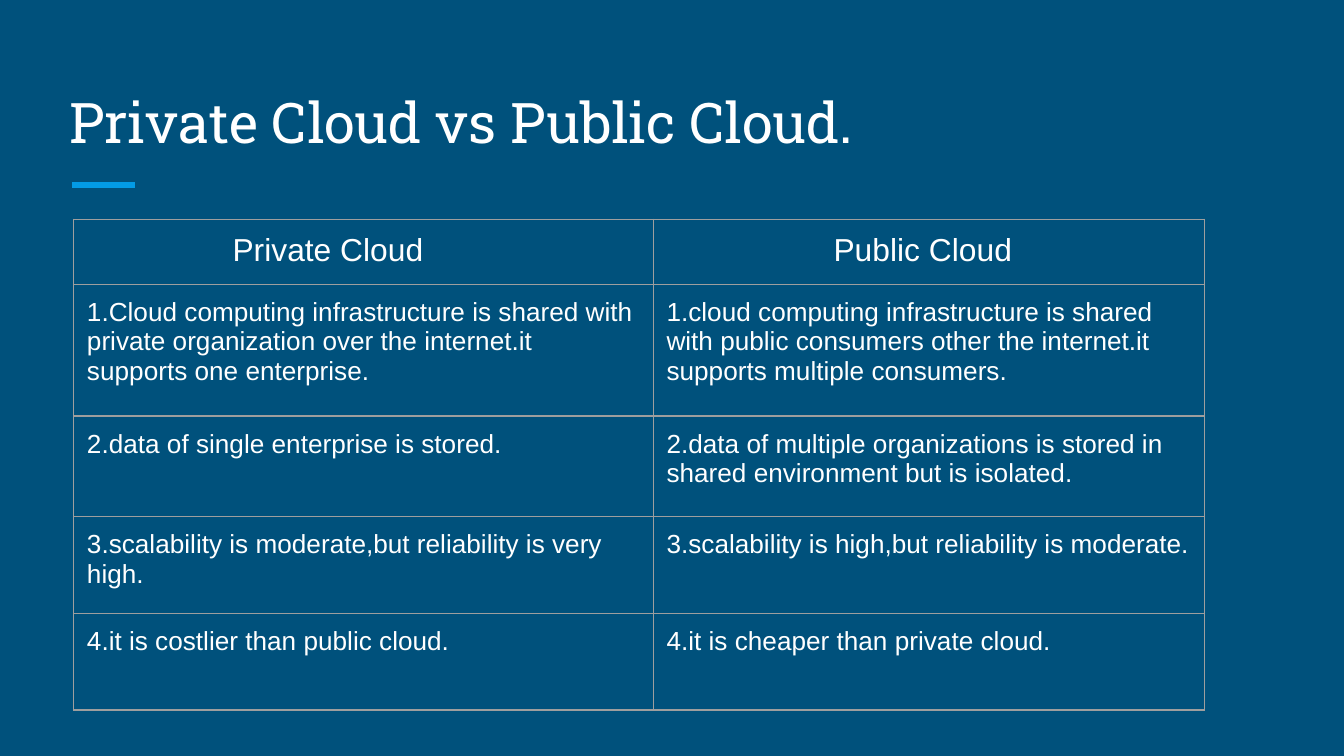
from lxml.etree import SubElement
from pptx import Presentation
from pptx.dml.color import RGBColor
from pptx.enum.shapes import MSO_CONNECTOR
from pptx.enum.text import MSO_ANCHOR
from pptx.oxml.ns import qn
from pptx.util import Pt

COLORS = {"background": "00517C", "accent": "039BE5", "text": "FFFFFF", "border": "9E9E9E"}
INSET = 7.2
COLUMN_WIDTHS = [310.5, 295.5]
ROW_HEIGHTS = [33.6, 70.6, 54, 51.8, 51.8]
HEADER_INDENTS = [78, 89.5]
ROWS = [
    ("Private Cloud", "Public Cloud"),
    ("1.Cloud computing infrastructure is shared with private organization over the internet.it supports one enterprise.",
     "1.cloud computing infrastructure is shared with public consumers other the internet.it supports multiple consumers."),
    ("2.data of single enterprise is stored.",
     "2.data of multiple organizations is stored in shared environment but is isolated."),
    ("3.scalability is moderate,but reliability is very high.",
     "3.scalability is high,but reliability is moderate."),
    ("4.it is costlier than public cloud.", "4.it is cheaper than private cloud."),
]


def color(name):
    """Return the named palette colour."""
    return RGBColor.from_string(COLORS[name])


def add_span(para, text, size, font):
    """Append one run of light text to a paragraph."""
    span = para.add_run()
    span.text = text
    span.font.size = Pt(size)
    span.font.name = font
    span.font.color.rgb = color("text")


def add_title(page, text):
    """Add the bottom-anchored heading."""
    box = page.shapes.add_textbox(Pt(30), Pt(36), Pt(659), Pt(54))
    frame = box.text_frame
    frame.word_wrap = True
    frame.vertical_anchor = MSO_ANCHOR.BOTTOM
    frame.margin_left = frame.margin_right = Pt(INSET)
    frame.margin_top = frame.margin_bottom = Pt(INSET)
    add_span(frame.paragraphs[0], text, 30, "Roboto Slab")


def add_accent_line(page):
    """Add the short rule below the heading."""
    line = page.shapes.add_connector(MSO_CONNECTOR.STRAIGHT, Pt(38.6), Pt(99.2), Pt(72.3), Pt(99.2))
    line.line.color.rgb = color("accent")
    line.line.width = Pt(3)
    SubElement(line._element.spPr, qn("a:effectLst"))


def set_borders(cell):
    """Draw a thin line on all four sides of a cell."""
    properties = cell._tc.get_or_add_tcPr()
    for index, side in enumerate(("lnL", "lnR", "lnT", "lnB")):
        border = SubElement(properties, qn(f"a:{side}"), w=str(Pt(0.75)))
        properties.insert(index, border)
        fill = SubElement(border, qn("a:solidFill"))
        SubElement(fill, qn("a:srgbClr"), val=COLORS["border"])


def fill_cell(cell, text, size, indent):
    """Write the text of a cell and style it."""
    cell.margin_left = Pt(INSET + indent)
    cell.margin_right = cell.margin_top = cell.margin_bottom = Pt(INSET)
    cell.fill.background()
    set_borders(cell)
    add_span(cell.text_frame.paragraphs[0], text, size, "Arial")


def add_comparison_table(page):
    """Add the two-column comparison."""
    frame = page.shapes.add_table(len(ROWS), len(COLUMN_WIDTHS), Pt(39.4), Pt(117.4),
                                  Pt(sum(COLUMN_WIDTHS)), Pt(sum(ROW_HEIGHTS)))
    table = frame.table
    table.first_row = table.horz_banding = False
    for column, width in zip(table.columns, COLUMN_WIDTHS):
        column.width = Pt(width)
    for index, (row, height, texts) in enumerate(zip(table.rows, ROW_HEIGHTS, ROWS)):
        row.height = Pt(height)
        for cell, text, header_indent in zip(row.cells, texts, HEADER_INDENTS):
            size, indent = (14, 0) if index else (17, header_indent)
            fill_cell(cell, text, size, indent)


def main():
    """Build the slide and save it."""
    deck = Presentation()
    deck.slide_width, deck.slide_height = Pt(720), Pt(405)
    page = deck.slides.add_slide(deck.slide_layouts[6])
    page.background.fill.solid()
    page.background.fill.fore_color.rgb = color("background")
    add_accent_line(page)
    add_title(page, "Private Cloud vs Public Cloud.")
    add_comparison_table(page)
    deck.save("out.pptx")


if __name__ == "__main__":
    main()
